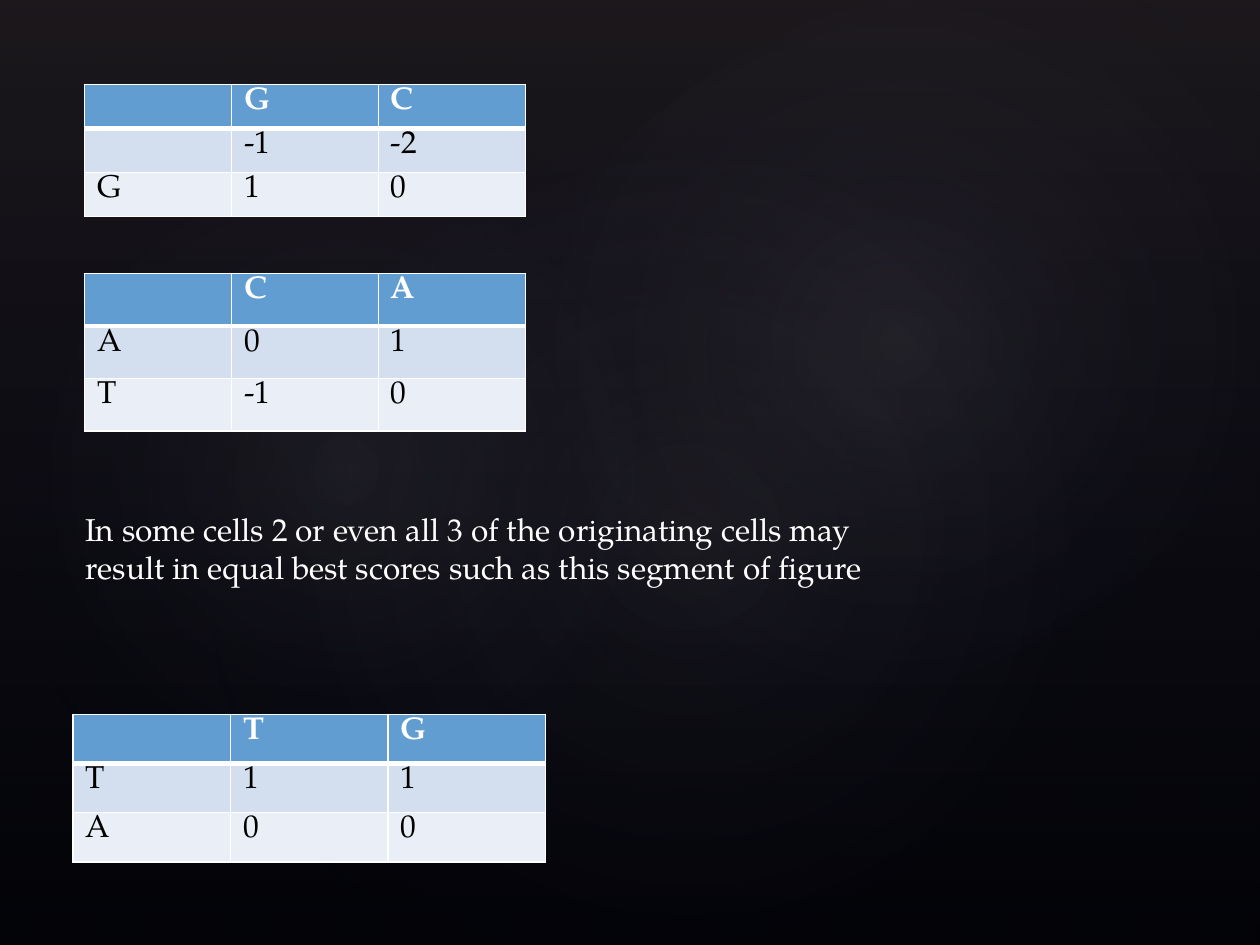
from pptx import Presentation
from pptx.dml.color import RGBColor
from pptx.enum.shapes import MSO_SHAPE
from pptx.oxml import parse_xml
from pptx.oxml.ns import nsdecls
from pptx.util import Inches, Pt

FONT = "TeX Gyre Pagella"
BLACK = RGBColor(0, 0, 0)
WHITE = RGBColor(255, 255, 255)
BLUE = RGBColor(0x62, 0x9D, 0xD1)
PALE = RGBColor(0xD3, 0xDF, 0xEE)
LIGHT = RGBColor(0xEA, 0xEF, 0xF7)
PLUM = RGBColor(0x50, 0x46, 0x52)
NAVY = RGBColor(0x24, 0x28, 0x52)
MIST = RGBColor(0xC4, 0xBC, 0xC6)

LINEAR = '<a:lin ang="5400000" scaled="0"/>'
RADIAL = ('<a:path path="circle"><a:fillToRect l="50000" t="50000" '
          'r="50000" b="50000"/></a:path>')


def write(frame, text, size=18, color=WHITE, bold=False):
    para = frame.paragraphs[0]
    para.font.size = Pt(size)
    if text:
        run = para.add_run()
        run.text = text
        font = run.font
        font.name, font.size, font.bold = FONT, Pt(size), bold
        font.color.rgb = color


def add_glow(slide, kind, box, stops, shade, turn=0):
    shape = slide.shapes.add_shape(kind, *map(Inches, box))
    shape.rotation = turn
    shape.shadow.inherit = False
    shape.line.fill.background()
    marks = "".join(
        f'<a:gs pos="{pos * 1000}"><a:srgbClr val="{color}">'
        f'<a:alpha val="{alpha * 1000}"/></a:srgbClr></a:gs>'
        for pos, color, alpha in stops)
    grad = parse_xml(f'<a:gradFill {nsdecls("a")} rotWithShape="1">'
                     f'<a:gsLst>{marks}</a:gsLst>{shade}</a:gradFill>')
    shape.element.spPr.find("./{*}prstGeom").addnext(grad)


def add_back(slide):
    fill = slide.background.fill
    fill.solid()
    fill.fore_color.rgb = BLACK
    add_glow(slide, MSO_SHAPE.RECTANGLE, (0, 0, 10, 7.5),
             [(0, PLUM, 36), (100, NAVY, 10)], LINEAR)
    for box, turn, alpha in [((1.5, 1.14, 7.92, 6.24), 328.7, 7),
                             ((-0.3, 1.28, 6.06, 4.9), 294.3, 8),
                             ((3.58, 0.13, 7.09, 5.2), 328.7, 8)]:
        add_glow(slide, MSO_SHAPE.OVAL, box,
                 [(0, MIST, alpha), (58, NAVY, 0)], RADIAL, turn)


def add_edge(cell, side, width):
    props = cell._tc.get_or_add_tcPr()
    props.append(parse_xml(
        f'<a:{side} {nsdecls("a")} w="{Pt(width)}"><a:solidFill>'
        f'<a:srgbClr val="{WHITE}"/></a:solidFill></a:{side}>'))


def add_grid(slide, box, rows):
    left, top, width, height = map(Inches, box)
    count = len(rows)
    table = slide.shapes.add_table(count, len(rows[0]), left, top,
                                   width, height).table
    for line in table.rows:
        line.height = height // count
    for row, texts in enumerate(rows):
        for col, text in enumerate(texts):
            cell = table.cell(row, col)
            cell.margin_left = cell.margin_right = Inches(0.1)
            cell.margin_top = cell.margin_bottom = Inches(0.02)
            head = row == 0
            for side in ("lnL", "lnR", "lnT", "lnB"):
                thick = (side == "lnB" and head) or (side == "lnT" and row == 1)
                add_edge(cell, side, 3 if thick else 1)
            cell.fill.solid()
            cell.fill.fore_color.rgb = (BLUE, PALE, LIGHT)[row]
            write(cell.text_frame, text, bold=head,
                  color=WHITE if head else BLACK)


def add_note(slide, box, text):
    frame = slide.shapes.add_textbox(*map(Inches, box)).text_frame
    frame.word_wrap = True
    write(frame, text)


deck = Presentation()
deck.slide_width, deck.slide_height = Inches(10), Inches(7.5)
slide = deck.slides.add_slide(deck.slide_layouts[6])
add_back(slide)
add_grid(slide, (0.67, 0.67, 3.5, 1.05),
         [("", "G", "C"), ("", "-1", "-2"), ("G", "1", "0")])
add_grid(slide, (0.67, 2.17, 3.5, 1.25),
         [("", "C", "A"), ("A", "0", "1"), ("T", "-1", "0")])
add_grid(slide, (0.58, 5.67, 3.75, 1.17),
         [("", "T", "G"), ("T", "1", "1"), ("A", "0", "0")])
add_note(slide, (0.58, 4, 6.83, 0.71),
         "In some cells 2 or even all 3 of the originating cells may "
         "result in equal best scores such as this segment of figure")
deck.save("out.pptx")
